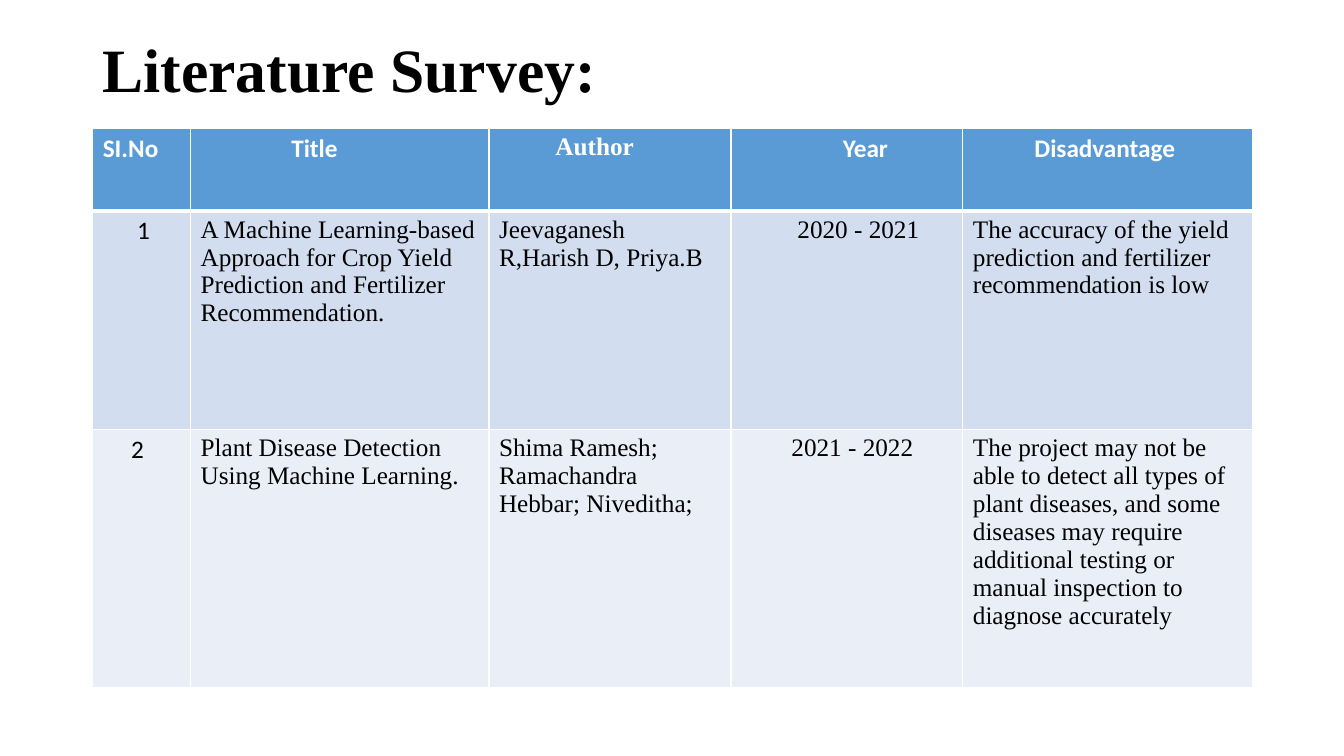
from lxml import etree
from pptx import Presentation
from pptx.dml.color import RGBColor
from pptx.enum.text import MSO_ANCHOR
from pptx.oxml.ns import qn
from pptx.util import Inches, Pt

BLACK = RGBColor(0x00, 0x00, 0x00)
WHITE = RGBColor(0xFF, 0xFF, 0xFF)
HEADER_BLUE = RGBColor(0x5B, 0x9B, 0xD5)
BAND_BLUE = RGBColor(0xD2, 0xDE, 0xEF)
BAND_PALE = RGBColor(0xEA, 0xEF, 0xF7)
SERIF = "Times New Roman"
SANS = "Calibri"


def style_text(paragraph, **formats):
    color = formats.pop("color")
    for key, value in formats.items():
        setattr(paragraph.font, key, value)
    paragraph.font.color.rgb = color


def draw_borders(cell, widths):
    properties = cell._tc.get_or_add_tcPr()
    for index, (side, width) in enumerate(widths.items()):
        border = etree.Element(qn(f"a:ln{side}"), w=str(Pt(width)))
        fill = etree.SubElement(border, qn("a:solidFill"))
        etree.SubElement(fill, qn("a:srgbClr"), val=str(WHITE))
        properties.insert(index, border)


prs = Presentation()
prs.slide_width = Inches(13.33)
prs.slide_height = Inches(7.5)
slide = prs.slides.add_slide(prs.slide_layouts[6])

heading = slide.shapes.add_textbox(
    Inches(0.92), Inches(0.37), Inches(11.5), Inches(0.69)
).text_frame
heading.word_wrap = True
heading.vertical_anchor = MSO_ANCHOR.MIDDLE
heading.text = "Literature Survey:"
heading.paragraphs[0].line_spacing = 0.9
style_text(heading.paragraphs[0], name=SERIF, size=Pt(44), bold=True, color=BLACK)

column_widths = [0.97, 2.96, 2.4, 2.3, 2.87]
row_heights = [0.82, 2.17, 2.56]
row_fills = [HEADER_BLUE, BAND_BLUE, BAND_PALE]
survey_rows = [
    [
        ("SI.No", SANS, 0.1),
        ("Title", SANS, 1.0),
        ("Author", SERIF, 0.66),
        ("Year", SANS, 1.11),
        ("Disadvantage", SANS, 0.71),
    ],
    [
        ("1", SANS, 0.44),
        (
            "A Machine Learning-based Approach for Crop Yield\n"
            "Prediction and Fertilizer Recommendation.",
            SERIF,
            0.1,
        ),
        ("Jeevaganesh R,Harish D, Priya.B", SERIF, 0.1),
        ("2020 - 2021", SERIF, 0.66),
        (
            "The accuracy of the yield prediction and fertilizer "
            "recommendation is low",
            SERIF,
            0.1,
        ),
    ],
    [
        ("2", SANS, 0.38),
        ("Plant Disease Detection Using Machine Learning.", SERIF, 0.1),
        ("Shima Ramesh; Ramachandra Hebbar; Niveditha;", SERIF, 0.1),
        ("2021 - 2022", SERIF, 0.6),
        (
            "The project may not be able to detect all types of plant diseases, "
            "and some diseases may require additional testing or manual "
            "inspection to diagnose accurately",
            SERIF,
            0.1,
        ),
    ],
]

survey = slide.shapes.add_table(
    len(row_heights), len(column_widths),
    Inches(0.92), Inches(1.27), Inches(11.5), Inches(sum(row_heights)),
).table
for column, width in zip(survey.columns, column_widths):
    column.width = Inches(width)
for row, height in zip(survey.rows, row_heights):
    row.height = Inches(height)

for row_index, entries in enumerate(survey_rows):
    is_header = row_index == 0
    top = 3 if row_index == 1 else 1
    bottom = 3 if is_header else 1
    for column_index, (text, font_name, indent) in enumerate(entries):
        cell = survey.cell(row_index, column_index)
        cell.text = text
        cell.margin_left = Inches(indent)
        cell.fill.solid()
        cell.fill.fore_color.rgb = row_fills[row_index]
        draw_borders(cell, {"L": 1, "R": 1, "T": top, "B": bottom})
        for paragraph in cell.text_frame.paragraphs:
            style_text(
                paragraph, name=font_name, size=Pt(18), bold=is_header,
                color=WHITE if is_header else BLACK,
            )

prs.save("out.pptx")
